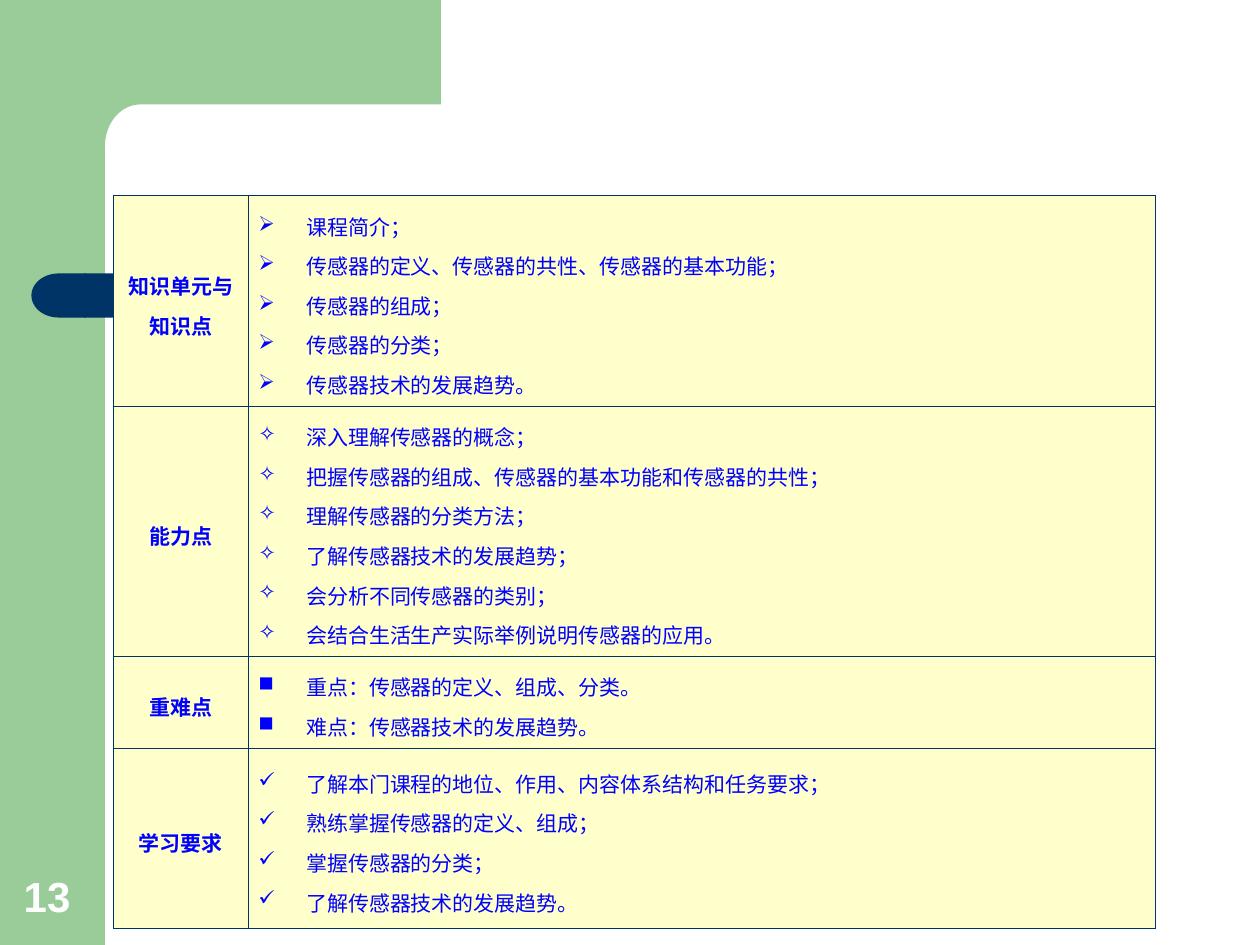
from math import cos, pi, sin

from lxml import etree
from pptx import Presentation
from pptx.dml.color import RGBColor
from pptx.enum.shapes import MSO_SHAPE
from pptx.enum.text import MSO_ANCHOR, PP_ALIGN
from pptx.oxml.ns import qn
from pptx.util import Inches, Pt

RECT = MSO_SHAPE.RECTANGLE
ROUND = MSO_SHAPE.ROUNDED_RECTANGLE
DELAY = MSO_SHAPE.FLOWCHART_DELAY
MIDDLE, BOTTOM = MSO_ANCHOR.MIDDLE, MSO_ANCHOR.BOTTOM
LEFT, CENTER = PP_ALIGN.LEFT, PP_ALIGN.CENTER

WIDE, HIGH = 10, 7.5
GREEN, NAVY, CREAM, BLUE, WHITE = "99CC99", "003366", "FFFFCC", "0000FF", "FFFFFF"
SANS, LATIN = "Noto Sans CJK SC", "Arial"
INDENT = 0.38
COLS = [1.07, 7.2]
ROWS = [
    (1.3, "知识单元与知识点", "➢", [
        "课程简介；",
        "传感器的定义、传感器的共性、传感器的基本功能；",
        "传感器的组成；",
        "传感器的分类；",
        "传感器技术的发展趋势。",
    ]),
    (1.56, "能力点", "✧", [
        "深入理解传感器的概念；",
        "把握传感器的组成、传感器的基本功能和传感器的共性；",
        "理解传感器的分类方法；",
        "了解传感器技术的发展趋势；",
        "会分析不同传感器的类别；",
        "会结合生活生产实际举例说明传感器的应用。",
    ]),
    (0.52, "重难点", "■", [
        "重点：传感器的定义、组成、分类。",
        "难点：传感器技术的发展趋势。",
    ]),
    (1.43, "学习要求", "✓", [
        "了解本门课程的地位、作用、内容体系结构和任务要求；",
        "熟练掌握传感器的定义、组成；",
        "掌握传感器的分类；",
        "了解传感器技术的发展趋势。",
    ]),
]


def paint(fill, tone):
    """Make a fill solid in a hex colour."""
    fill.solid()
    fill.fore_color.rgb = RGBColor.from_string(tone)


def finish(shape, tone):
    """Give a shape a flat fill with no line or shadow."""
    paint(shape.fill, tone)
    shape.line.fill.background()
    shape.shadow.inherit = False
    return shape


def block(slide, kind, box, tone):
    """Add a flat preset shape in a box of inches."""
    return finish(slide.shapes.add_shape(kind, *map(Inches, box)), tone)


def mark(para, sign, tone):
    """Add a hanging bullet to a paragraph."""
    props = para._p.get_or_add_pPr()
    props.set("marL", str(Inches(INDENT)))
    props.set("indent", str(-Inches(INDENT)))
    hue = etree.SubElement(props, qn("a:buClr"))
    etree.SubElement(hue, qn("a:srgbClr"), val=tone)
    etree.SubElement(props, qn("a:buChar"), char=sign)


def write(frame, lines, size=12, face=SANS, tone=BLUE, bold=False,
          align=LEFT, space=None, sign=None):
    """Fill a text frame with one formatted paragraph per line."""
    for i, line in enumerate(lines):
        para = frame.add_paragraph() if i else frame.paragraphs[0]
        if sign:
            mark(para, sign, tone)
        para.alignment = align
        para.line_spacing = space
        run = para.add_run()
        run.text = line
        font = run.font
        font.size, font.name, font.bold = Pt(size), face, bold
        font.color.rgb = RGBColor.from_string(tone)
        etree.SubElement(run._r.get_or_add_rPr(), qn("a:ea"), typeface=face)


def border(cell, tone, width):
    """Draw all four sides of a cell."""
    props = cell._tc.get_or_add_tcPr()
    for side in ("lnL", "lnR", "lnT", "lnB"):
        line = etree.SubElement(props, qn("a:" + side), w=str(Pt(width)))
        fill = etree.SubElement(line, qn("a:solidFill"))
        etree.SubElement(fill, qn("a:srgbClr"), val=tone)


def corner(slide, box):
    """Draw the top band with its rounded inner corner."""
    x, y, w, h = box
    left, top = x + w / 9, y + h * 0.65
    rx, ry = 0.28, y + h * 0.91 - top
    steps = 16
    turns = [pi / 2 * i / steps for i in range(steps + 1)]
    arc = [(left + rx - rx * sin(t), top + ry - ry * cos(t)) for t in turns]
    points = [(x + w, y), (x + w, top), *arc, (left, y + h), (x, y + h), (x, y)]
    pen, *rest = [(Inches(a), Inches(b)) for a, b in points]
    path = slide.shapes.build_freeform(*pen)
    path.add_line_segments(rest, close=True)
    finish(path.convert_to_shape(), GREEN)


def frame(slide, box):
    """Draw the green side band, top corner and navy bar."""
    x, y, w, h = box
    side = w / 12
    block(slide, RECT, (x, y, side, h), GREEN)
    corner(slide, (x + w / 20, y, w * 0.3, h * 0.17))
    start, tall = w / 15, 0.35
    bar = block(slide, ROUND, (x + start, y + 2.17, 7.67, tall), NAVY)
    bar.adjustments[0] = 0
    cap = block(slide, DELAY, (x + 0.25, y + 2.17, 0.43, tall), NAVY)
    cap._element.spPr.get_or_add_xfrm().set("flipH", "1")


def outline(slide, box):
    """Place the table of course goals."""
    table = slide.shapes.add_table(len(ROWS), len(COLS), *map(Inches, box)).table
    table.first_row = table.horz_banding = False
    for col, width in zip(table.columns, COLS):
        col.width = Inches(width)
    for row, (tall, head, sign, items) in zip(table.rows, ROWS):
        row.height = Inches(tall)
        for cell in row.cells:
            border(cell, NAVY, 0.45)
            paint(cell.fill, CREAM)
            cell.vertical_anchor = MIDDLE
            cell.margin_left = cell.margin_right = Inches(0.08)
        name, body = row.cells
        write(name.text_frame, [head], bold=True, align=CENTER, space=1.3)
        write(body.text_frame, items, space=1.3, sign=sign)


def number(slide, box, text):
    """Place the page number."""
    area = slide.shapes.add_textbox(*map(Inches, box)).text_frame
    area.word_wrap = True
    area.vertical_anchor = BOTTOM
    write(area, [text], size=24, face=LATIN, tone=WHITE, bold=True)


def main():
    """Build and save the slide."""
    deck = Presentation()
    deck.slide_width, deck.slide_height = Inches(WIDE), Inches(HIGH)
    slide = deck.slides.add_slide(deck.slide_layouts[6])
    paint(slide.background.fill, WHITE)
    frame(slide, (0, 0, WIDE, HIGH))
    outline(slide, (0.9, 1.55, sum(COLS), sum(row[0] for row in ROWS)))
    number(slide, (0.09, 6.83, 0.64, 0.53), "13")
    deck.save("out.pptx")


if __name__ == "__main__":
    main()
